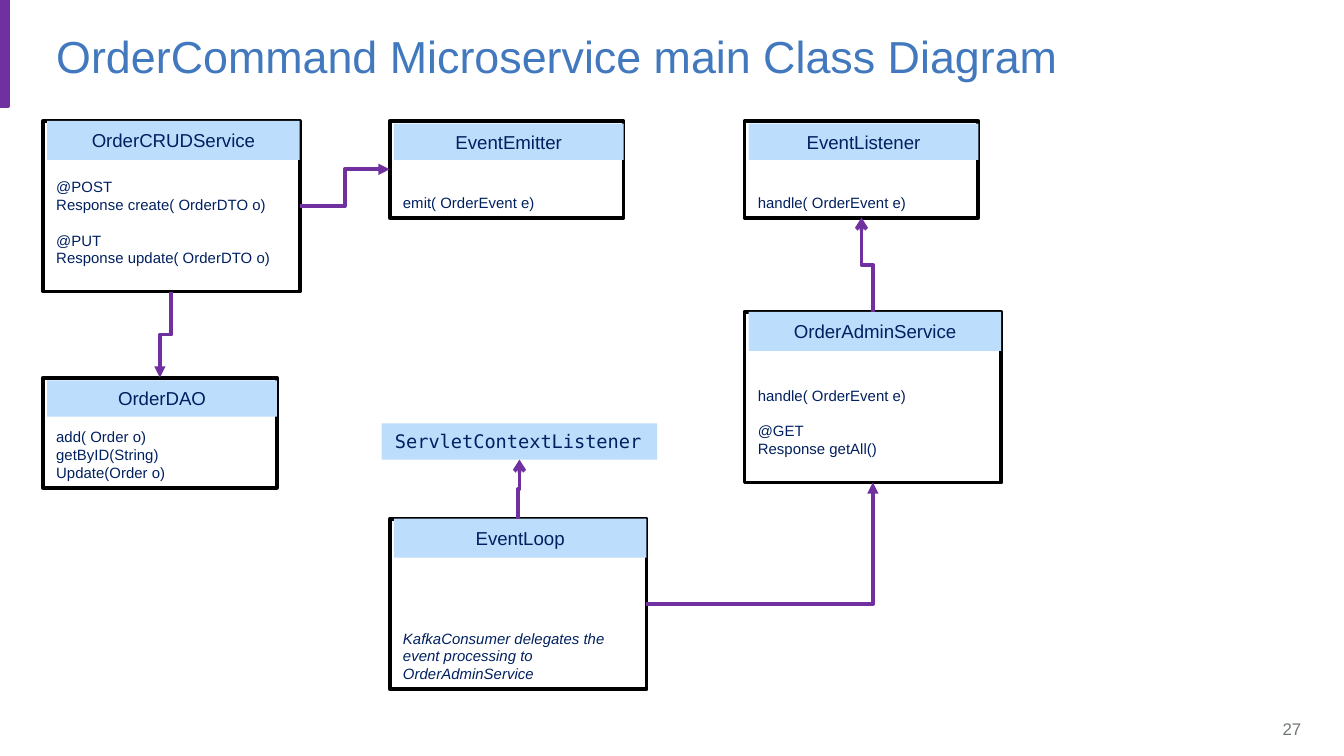
from lxml import etree
from pptx import Presentation
from pptx.dml.color import RGBColor
from pptx.enum.shapes import MSO_CONNECTOR, MSO_SHAPE
from pptx.enum.text import MSO_ANCHOR, PP_ALIGN
from pptx.oxml.ns import qn
from pptx.util import Inches, Pt

RECT, ELBOW = MSO_SHAPE.RECTANGLE, MSO_CONNECTOR.ELBOW
TOP, MIDDLE, BOTTOM = MSO_ANCHOR.TOP, MSO_ANCHOR.MIDDLE, MSO_ANCHOR.BOTTOM
LEFT, CENTER, RIGHT = PP_ALIGN.LEFT, PP_ALIGN.CENTER, PP_ALIGN.RIGHT

COLORS = {"accent": "7030A0", "title": "4178BE", "header": "BDDDFD",
          "text": "002060", "box": "FFFFFF", "border": "000000", "number": "6D7777"}
SLIDE_W = 10
SLIDE_H = SLIDE_W * 9 / 16
COLUMNS = [0.32, 2.9, 5.54]
ROWS = [0.9, 2.32, 2.81, 3.86]
LARGE, MEDIUM, SMALL = (1.91, 1.27), (1.74, 0.82), (1.74, 0.72)
INDENT, DROP = 0.03, 0.02   # offset of a header inside its box
LINE = 9.6                  # points in one line of member text

TITLE = "OrderCommand Microservice main Class Diagram"
PAGE = "27"

# name: column, row, size, groups of members, lines left free below them
CLASSES = {
    "OrderCRUDService": (0, 0, LARGE, [["@POST", "Response create( OrderDTO o)"],
                                       ["@PUT", "Response update( OrderDTO o)"]], 1),
    "OrderDAO": (0, 2, MEDIUM, [["add( Order o)", "getByID(String)", "Update(Order o)"]], 0),
    "EventEmitter": (1, 0, SMALL, [["emit( OrderEvent e)"]], 0),
    "EventListener": (2, 0, SMALL, [["handle( OrderEvent e)"]], 0),
    "OrderAdminService": (2, 1, LARGE, [["handle( OrderEvent e)"],
                                        ["@GET", "Response getAll()"]], 1),
    "EventLoop": (1, 3, LARGE, [["KafkaConsumer delegates the event processing to "
                                 "OrderAdminService"]], 0),
}
NOTES = {"EventLoop"}       # classes whose member text is an italic remark
INTERFACE = "ServletContextListener"
INTERFACE_BOX = (2.84, 3.15, 2.05, 0.27)

# from class, side, to class, side, arrowhead
LINKS = [
    ("OrderCRUDService", "right", "EventEmitter", "left", "triangle"),
    ("OrderCRUDService", "bottom", "OrderDAO", "top", "triangle"),
    ("OrderAdminService", "top", "EventListener", "bottom", "arrow"),
    ("EventLoop", "right", "OrderAdminService", "bottom", "triangle"),
    ("EventLoop", "top", INTERFACE, "bottom", "arrow"),
]
SIDES = {"left": (0, 0.5), "right": (1, 0.5), "top": (0.5, 0), "bottom": (0.5, 1)}


def rgb(name):
    return RGBColor.from_string(COLORS[name])


def add_box(box, fill, line=None):
    sp = slide.shapes.add_shape(RECT, *map(Inches, box))
    sp.shadow.inherit = False
    sp.fill.solid()
    sp.fill.fore_color.rgb = rgb(fill)
    if line:
        sp.line.color.rgb = rgb(line)
        sp.line.width = Pt(2)
    else:
        sp.line.fill.background()
    return sp


def write(sp, lines, size, color="text", align=LEFT, anchor=MIDDLE, font="Arial", wrap=True):
    tf = sp.text_frame
    tf.text = "\n".join(lines)
    tf.word_wrap = wrap
    tf.vertical_anchor = anchor
    for p in tf.paragraphs:
        p.alignment = align
        for r in p.runs:
            r.font.size, r.font.name = Pt(size), font
            r.font.color.rgb = rgb(color)
    return tf


def add_class(name, column, row, size, groups, free_lines):
    x, y, (w, h) = COLUMNS[column], ROWS[row], size
    body = add_box((x, y, w, h), "box", "border")
    tf = write(body, [m for group in groups for m in group], 8, anchor=BOTTOM)
    tf.margin_bottom = Inches(0.05) + Pt(LINE * free_lines)
    start = 0
    for group in groups[:-1]:
        start += len(group)
        tf.paragraphs[start].space_before = Pt(LINE)
    for p in tf.paragraphs:
        p.runs[0].font.italic = name in NOTES
    drop, head_h = (0, 0.29) if size == LARGE else (DROP, 0.27)
    header = add_box((x + INDENT, y + drop, w - INDENT, head_h), "header")
    write(header, [name], 10, align=CENTER)
    return x, y, w, h


def side_point(box, side):
    x, y, w, h = box
    sx, sy = SIDES[side]
    return x + sx * w, y + sy * h


def add_link(source, source_side, target, target_side, head):
    (x1, y1), (x2, y2) = side_point(boxes[source], source_side), side_point(boxes[target], target_side)
    cx = slide.shapes.add_connector(ELBOW, *map(Inches, (x1, y1, x2, y2)))
    cx.line.color.rgb = rgb("accent")
    cx.line.width = Pt(2)
    props = cx._element.spPr
    etree.SubElement(props.find(qn("a:ln")), qn("a:tailEnd"), type=head)
    etree.SubElement(props, qn("a:effectLst"))
    vertical = [side in ("top", "bottom") for side in (source_side, target_side)]
    if vertical[0] != vertical[1]:
        props.find(qn("a:prstGeom")).set("prst", "bentConnector2")
    elif all(vertical):
        turn_upright(cx, x1, y1, x2, y2)


def turn_upright(cx, x1, y1, x2, y2):
    """Rotate an elbow so that it leaves and arrives vertically."""
    dx, dy = x2 - x1, y2 - y1
    w, h = abs(dy), abs(dx)
    cx.left, cx.top = Inches((x1 + x2 - w) / 2), Inches((y1 + y2 - h) / 2)
    cx.width, cx.height = Inches(w), Inches(h)
    xfrm = cx._element.spPr.find(qn("a:xfrm"))
    xfrm.set("rot", str((90 if dy > 0 else 270) * 60000))
    xfrm.set("flipH", "0")
    xfrm.set("flipV", "1" if (dx < 0) == (dy < 0) else "0")


prs = Presentation()
prs.slide_width, prs.slide_height = Inches(SLIDE_W), Inches(SLIDE_H)
slide = prs.slides.add_slide(prs.slide_layouts[6])

add_box((0, 0, 0.06, 0.79), "accent", "accent")
title = slide.shapes.add_textbox(*map(Inches, (COLUMNS[0], 0.05, 9.18, 0.72)))
write(title, [TITLE], 24, "title")
number = slide.shapes.add_textbox(*map(Inches, (9.34, 5.27, 0.44, 0.3)))
write(number, [PAGE], 9, "number", RIGHT)

boxes = {name: add_class(name, *parts) for name, parts in CLASSES.items()}
boxes[INTERFACE] = INTERFACE_BOX
write(add_box(INTERFACE_BOX, "header"), [INTERFACE], 10, anchor=TOP,
      font="DejaVu Sans Mono", wrap=False)
for link in LINKS:
    add_link(*link)

prs.save("out.pptx")
